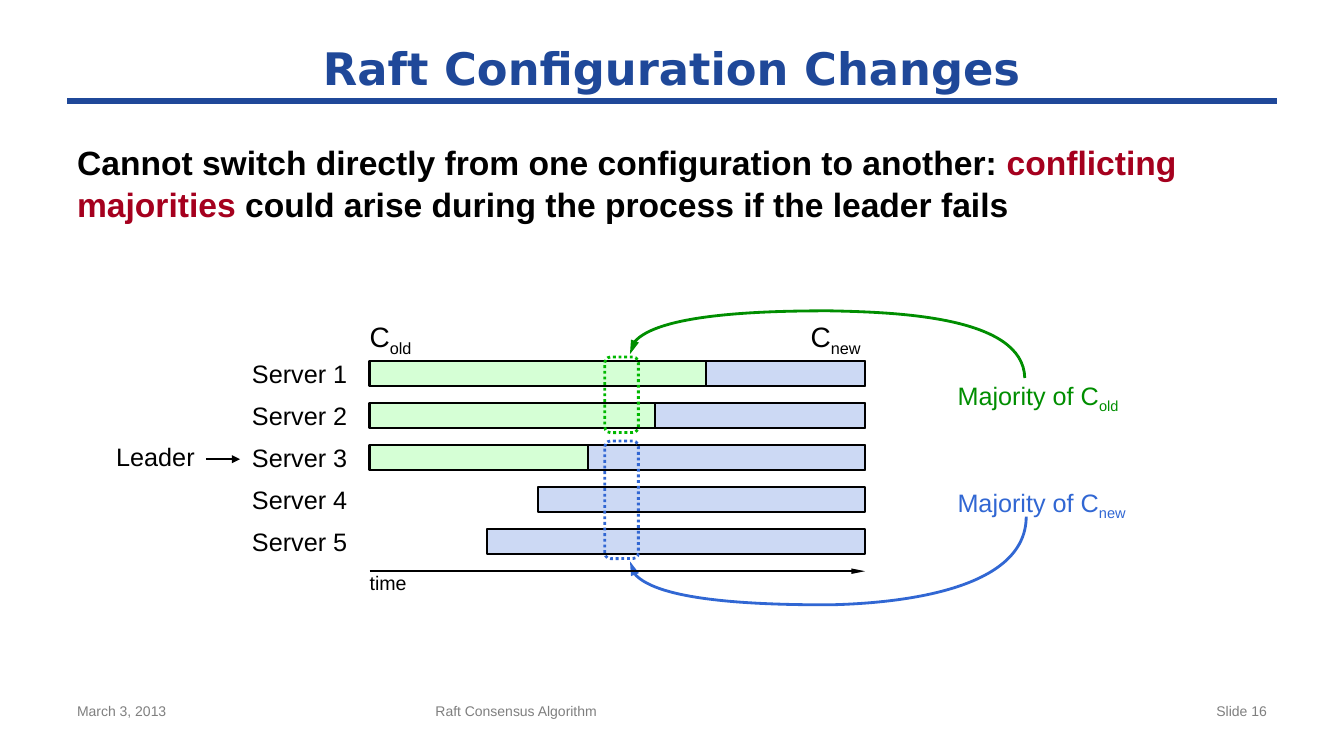
from pptx import Presentation
from pptx.dml.color import RGBColor
from pptx.enum.dml import MSO_LINE as Dash
from pptx.enum.shapes import MSO_CONNECTOR as Conn, MSO_SHAPE as Kind
from pptx.enum.text import MSO_ANCHOR as Anchor, MSO_AUTO_SIZE as Auto, PP_ALIGN as Align
from pptx.oxml.ns import qn
from pptx.oxml.xmlchemy import OxmlElement as Node
from pptx.util import Pt

NAVY = RGBColor(0x1F, 0x48, 0x99)
BLACK = RGBColor(0, 0, 0)
RED = RGBColor(0xA5, 0, 0x1E)
GRAY = RGBColor(0x7F, 0x7F, 0x7F)
MINT = RGBColor(0xD5, 0xFF, 0xD5)
PALE = RGBColor(0xCC, 0xD9, 0xF4)
LIME = RGBColor(0, 0xB8, 0)
GREEN = RGBColor(0, 0x8E, 0)
BLUE = RGBColor(0x31, 0x67, 0xD3)


class Deck:
    """Holds the text style and current slide, and draws elements in points."""

    style = {"name": "Arial", "bold": False}

    def __init__(self, wide, high):
        self.prs = Presentation()
        self.prs.slide_width, self.prs.slide_height = Pt(wide), Pt(high)
        self.slide = self.prs.slides.add_slide(self.prs.slide_layouts[5])
        self.shapes = self.slide.shapes

    def words(self, para, text, color, size, sub=False, **extra):
        run = para.add_run()
        run.text = text
        for key, val in {**self.style, "size": Pt(size), **extra}.items():
            setattr(run.font, key, val)
        run.font.color.rgb = color
        if sub:
            run._r.get_or_add_rPr().set("baseline", "-25000")

    def title(self, text, box):
        shape = self.shapes.title
        shape.left, shape.top, shape.width, shape.height = map(Pt, box)
        frame = shape.text_frame
        frame.vertical_anchor = Anchor.MIDDLE
        frame.paragraphs[0].alignment = Align.CENTER
        self.words(frame.paragraphs[0], text, NAVY, 32, name="DejaVu Sans", bold=True)

    def block(self, box, parts, size, align=Align.LEFT, space=1.0, **extra):
        frame = self.shapes.add_textbox(*map(Pt, box)).text_frame
        frame.word_wrap = True
        para = frame.paragraphs[0]
        para.alignment, para.line_spacing = align, space
        for text, color in parts:
            self.words(para, text, color, size, **extra)

    def label(self, box, text, size=18, color=BLACK, sub=""):
        frame = self.shapes.add_textbox(*map(Pt, box)).text_frame
        form = {"word_wrap": False, "auto_size": Auto.SHAPE_TO_FIT_TEXT,
                "margin_left": 0, "margin_right": 0, "margin_top": 0, "margin_bottom": 0}
        for key, val in form.items():
            setattr(frame, key, val)
        self.words(frame.paragraphs[0], text, color, size)
        if sub:
            self.words(frame.paragraphs[0], sub, color, size, sub=True)

    def stroke(self, shape, color, width, head=None):
        shape.line.color.rgb, shape.line.width = color, Pt(width)
        if head:
            end = Node("a:tailEnd")
            for key, val in zip(("type", "w", "len"), ("triangle", *head)):
                end.set(key, val)
            shape.line._get_or_add_ln().append(end)

    def bar(self, left, top, right, fill):
        shape = self.shapes.add_shape(Kind.RECTANGLE, *map(Pt, (left, top, right - left, 18)))
        shape.shadow.inherit = False
        shape.fill.solid()
        shape.fill.fore_color.rgb = fill
        self.stroke(shape, BLACK, 1.5)

    def ring(self, box, color):
        shape = self.shapes.add_shape(Kind.ROUNDED_RECTANGLE, *map(Pt, box))
        shape.shadow.inherit = False
        shape.fill.background()
        self.stroke(shape, color, 2)
        shape.line.dash_style = Dash.ROUND_DOT

    def rule(self, x1, y1, x2, color, width, head=None):
        line = self.shapes.add_connector(Conn.STRAIGHT, *map(Pt, (x1, y1, x2, y1)))
        self.stroke(line, color, width, head)
        line._element.spPr.append(Node("a:effectLst"))

    def curve(self, start, points, color):
        form = self.shapes.build_freeform(*start, scale=Pt(1))
        form.add_line_segments(points, close=False)
        shape = form.convert_to_shape()
        shape.shadow.inherit = False
        shape.fill.background()
        legs = list(shape.element.iter(qn("a:lnTo")))
        for first, *rest in zip(legs[::3], legs[1::3], legs[2::3]):
            bend = Node("a:cubicBezTo")
            first.addprevious(bend)
            for leg in (first, *rest):
                bend.append(leg[0])
                leg.getparent().remove(leg)
        self.stroke(shape, color, 2, ("med", "lg"))


def main():
    deck = Deck(960, 540)
    deck.rule(48, 72, 912, NAVY, 4)
    deck.title("Raft Configuration Changes", (48, 24, 864, 48))
    deck.block((48, 97, 864, 385), [
        ("Cannot switch directly from one configuration to another: ", BLACK),
        ("conflicting majorities ", RED),
        ("could arise during the process if the leader fails", BLACK),
    ], 24, space=1.04, bold=True)
    for left, width, text, align in (
            (48, 224, "March 3, 2013", Align.LEFT),
            (304, 360, "Raft Consensus Algorithm", Align.LEFT),
            (688, 224, "Slide 16", Align.RIGHT)):
        deck.block((left, 498, width, 31), [(text, GRAY)], 10, align)

    start, end, top, step = 264, 618, 258, 30
    for row, switch in enumerate((504, 468, 420, 384, 348)):
        y = top + row * step
        if row < 3:
            deck.bar(start, y, end, MINT)
        deck.bar(switch, y, end, PALE)
        deck.label((180, y - 1.7, 68.4, 21.6), f"Server {row + 1}")
    deck.label((start, 228, 32.4, 24.5), "C", 20, sub="old")
    deck.label((579, 228, 39.6, 24.5), "C", 20, sub="new")

    deck.ring((432, 315, 24, 84), BLUE)
    deck.ring((432, 255, 24, 54), LIME)
    deck.label((684, 271.5, 118, 21.6), "Majority of C", color=GREEN, sub="old")
    deck.label((684, 348, 124, 21.6), "Majority of C", color=BLUE, sub="new")
    deck.curve((732, 270), [(731, 226), (641, 223), (592, 222),
                            (543, 222), (449, 225), (450, 253)], GREEN)
    deck.curve((733, 369), [(733, 422), (641, 431), (592, 432),
                            (542, 432), (449, 429), (450, 401)], BLUE)

    deck.rule(start, 408, end, BLACK, 1.5, ("sm", "lg"))
    deck.label((start, 408, 27, 17), "time", 14)
    deck.label((83, 315.5, 57, 21.6), "Leader")
    deck.rule(147, 328, 171.5, BLACK, 1.5, ("med", "med"))
    deck.prs.save("out.pptx")


if __name__ == "__main__":
    main()
